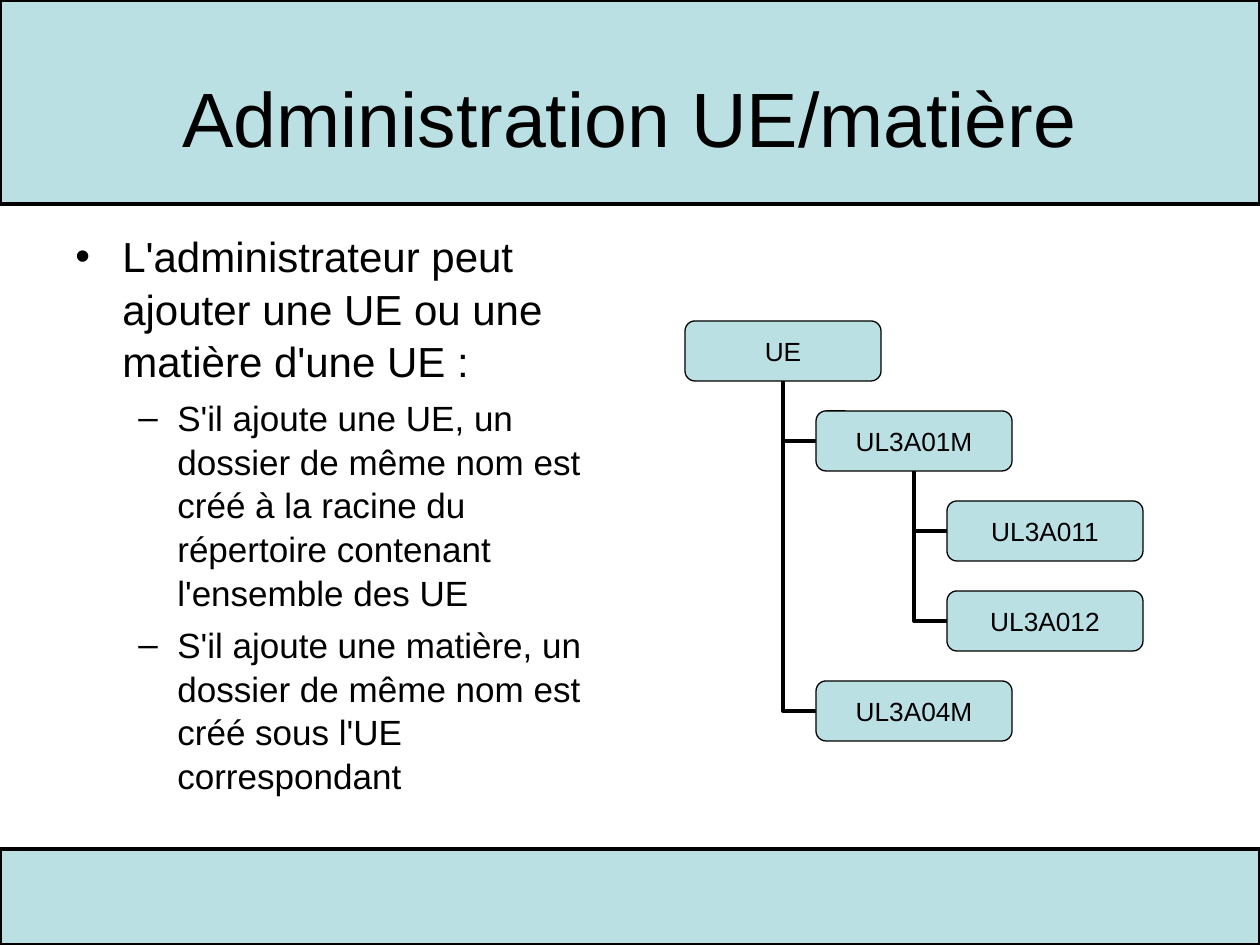
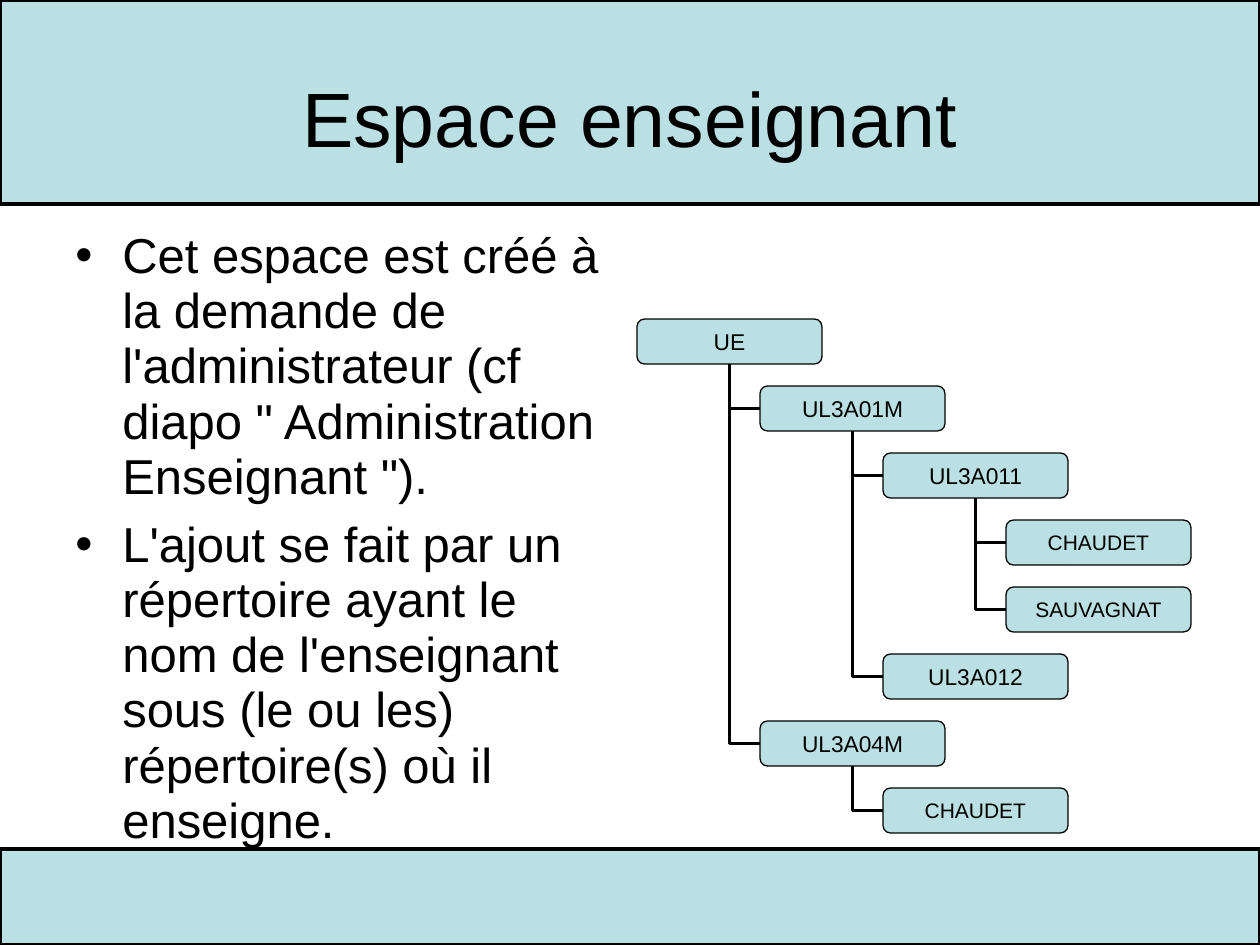
from lxml.etree import SubElement
from pptx import Presentation
from pptx.dml.color import RGBColor
from pptx.enum.shapes import MSO_CONNECTOR, MSO_SHAPE
from pptx.enum.text import MSO_ANCHOR, PP_ALIGN
from pptx.oxml.ns import qn
from pptx.util import Pt

PX = 914400 / 126
SLIDE_WIDTH, SLIDE_HEIGHT = 1260, 945
FONT = "Arial"
BLACK = RGBColor(0x00, 0x00, 0x00)
PALE_BLUE = RGBColor(0xBB, 0xE0, 0xE3)

BANDS = [(0, 849, SLIDE_WIDTH, 96), (0, 0, SLIDE_WIDTH, 204)]
TITLE_BOX = (63, 38, 1134, 157)
BODY_BOX = (63, 220, 557, 624)
# Per bullet level: mark, left margin, hanging indent
BULLETS = [("•", 47, 47), ("–", 102, 39)]
TEACHERS = {"CHAUDET", "SAUVAGNAT"}

# Body lines are (level, text); tree nodes are (depth, label), one row each
SLIDES = [
    {
        "title": "Administration UE/matière",
        "body": [
            (0, "L'administrateur peut ajouter une UE ou une matière d'une UE :"),
            (1, "S'il ajoute une UE, un dossier de même nom est créé à la racine "
                "du répertoire contenant l'ensemble des UE"),
            (1, "S'il ajoute une matière, un dossier de même nom est créé sous "
                "l'UE correspondant"),
        ],
        "body_sizes": (24, 20),
        "space_before": 5,
        "line_spacing": 1.04,
        "nodes": [(0, "UE"), (1, "UL3A01M"), (2, "UL3A011"), (2, "UL3A012"),
                  (1, "UL3A04M")],
        "tree": {"origin": (685, 321), "node": (196, 60), "step": (131, 90),
                 "size": 15, "teacher_size": 15},
    },
    {
        "title": "Espace enseignant",
        "body": [
            (0, "Cet espace est créé à la demande de l'administrateur (cf diapo "
                "\" Administration Enseignant \")."),
            (0, "L'ajout se fait par un répertoire ayant le nom de l'enseignant "
                "sous (le ou les) répertoire(s) où il enseigne."),
        ],
        "body_sizes": (28,),
        "space_before": 7,
        "line_spacing": 0.94,
        "nodes": [(0, "UE"), (1, "UL3A01M"), (2, "UL3A011"), (3, "CHAUDET"),
                  (3, "SAUVAGNAT"), (2, "UL3A012"), (1, "UL3A04M"),
                  (2, "CHAUDET")],
        "tree": {"origin": (637, 319), "node": (185, 45), "step": (123, 67),
                 "size": 13, "teacher_size": 12},
    },
]


def emu(*lengths):
    return [round(length * PX) for length in lengths]


def style_font(paragraph, size):
    paragraph.font.name = FONT
    paragraph.font.size = Pt(size)
    paragraph.font.color.rgb = BLACK


def add_box(slide, kind, box, line_width):
    shape = slide.shapes.add_shape(kind, *emu(*box))
    shape.shadow.inherit = False
    shape.fill.solid()
    shape.fill.fore_color.rgb = PALE_BLUE
    shape.line.color.rgb = BLACK
    shape.line.width = Pt(line_width)
    return shape


def write_centred(shape, text, size, wrap):
    frame = shape.text_frame
    frame.word_wrap = wrap
    frame.vertical_anchor = MSO_ANCHOR.MIDDLE
    paragraph = frame.paragraphs[0]
    paragraph.text = text
    paragraph.alignment = PP_ALIGN.CENTER
    style_font(paragraph, size)


def add_body(slide, content):
    frame = slide.shapes.add_textbox(*emu(*BODY_BOX)).text_frame
    frame.word_wrap = True
    frame.margin_top = emu(9)[0]
    for index, (level, text) in enumerate(content["body"]):
        paragraph = frame.add_paragraph() if index else frame.paragraphs[0]
        paragraph.text = text
        paragraph.level = level
        mark, margin, hanging = BULLETS[level]
        properties = paragraph._p.get_or_add_pPr()
        properties.set("marL", str(emu(margin)[0]))
        properties.set("indent", str(emu(-hanging)[0]))
        SubElement(properties, qn("a:buFont"), typeface=FONT)
        SubElement(properties, qn("a:buChar"), char=mark)
        paragraph.line_spacing = content["line_spacing"]
        if index:
            paragraph.space_before = Pt(content["space_before"])
        style_font(paragraph, content["body_sizes"][level])


def add_branch(slide, parent, child):
    """Draw an elbow from the bottom centre of parent to the left side of child."""
    left, top, width, height = parent
    connector = slide.shapes.add_connector(
        MSO_CONNECTOR.ELBOW,
        *emu(left + width / 2, top + height, child[0], child[1] + child[3] / 2))
    connector.line.color.rgb = BLACK
    connector.line.width = Pt(2.25)
    properties = connector._element.spPr
    properties.find(qn("a:prstGeom")).set("prst", "bentConnector2")
    properties.find(qn("a:xfrm")).set("rot", str(180 * 60000))
    SubElement(properties, qn("a:effectLst"))


def add_tree(slide, nodes, tree):
    left, top = tree["origin"]
    step_x, step_y = tree["step"]
    boxes = [(left + depth * step_x, top + row * step_y, *tree["node"])
             for row, (depth, _) in enumerate(nodes)]
    latest_at_depth = {}
    for (depth, _), box in zip(nodes, boxes):
        latest_at_depth[depth] = box
        if depth:
            add_branch(slide, latest_at_depth[depth - 1], box)
    for (_, label), box in zip(nodes, boxes):
        shape = add_box(slide, MSO_SHAPE.ROUNDED_RECTANGLE, box, 0.75)
        size = tree["teacher_size"] if label in TEACHERS else tree["size"]
        write_centred(shape, label, size, wrap=False)


def main():
    presentation = Presentation()
    presentation.slide_width, presentation.slide_height = emu(SLIDE_WIDTH, SLIDE_HEIGHT)
    for content in SLIDES:
        slide = presentation.slides.add_slide(presentation.slide_layouts[6])
        for band in BANDS:
            add_box(slide, MSO_SHAPE.RECTANGLE, band, 2.25)
        title = slide.shapes.add_textbox(*emu(*TITLE_BOX))
        write_centred(title, content["title"], 44, wrap=True)
        add_body(slide, content)
        add_tree(slide, content["nodes"], content["tree"])
    presentation.save("out.pptx")


if __name__ == "__main__":
    main()
